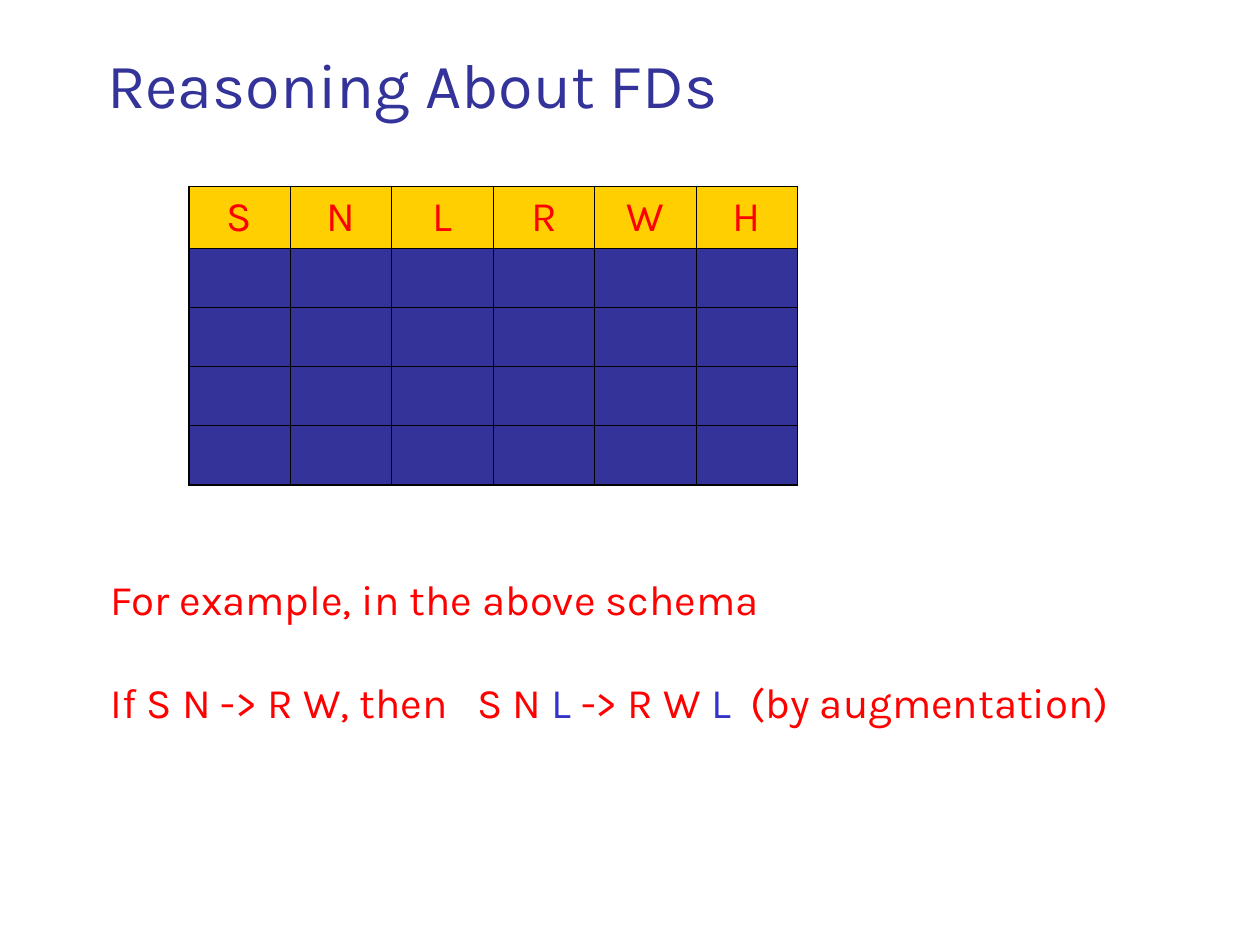
from lxml import etree
from pptx import Presentation
from pptx.dml.color import RGBColor
from pptx.enum.text import MSO_ANCHOR, MSO_AUTO_SIZE, PP_ALIGN
from pptx.oxml.ns import qn
from pptx.util import Inches, Pt

LEFT, CENTER = PP_ALIGN.LEFT, PP_ALIGN.CENTER
MIDDLE = MSO_ANCHOR.MIDDLE
NO_FIT, GROW = MSO_AUTO_SIZE.NONE, MSO_AUTO_SIZE.SHAPE_TO_FIT_TEXT
NAVY, BLUE, RED, GOLD = "333399", "3333CC", "FF0000", "FFCF01"
THIN, THICK = Pt(0.45), Pt(1.08)


def write(para, text, size=24, color=RED, align=LEFT, before=0):
    para.alignment = align
    para.space_before = Pt(before)
    run = para.add_run()
    run.text = text
    run.font.name = "Karla"
    run.font.size = Pt(size)
    run.font.color.rgb = RGBColor.from_string(color)


def edge(cell, side, width):
    """Draw one black border; call in the order L, R, T, B."""
    line = etree.SubElement(cell._tc.get_or_add_tcPr(), qn("a:ln" + side), w=str(width))
    fill = etree.SubElement(line, qn("a:solidFill"))
    etree.SubElement(fill, qn("a:srgbClr"), val="000000")


prs = Presentation()
prs.slide_width, prs.slide_height = Inches(10), Inches(7.5)
slide = prs.slides.add_slide(prs.slide_layouts[5])

# Title
title = slide.shapes.title
title.left, title.top = Inches(0.75), Inches(0.25)
title.width, title.height = Inches(8.5), Inches(0.83)
title.text_frame.auto_size = NO_FIT
title.text_frame.vertical_anchor = MIDDLE
write(title.text_frame.paragraphs[0], "Reasoning About FDs", size=36, color=NAVY)

# Schema table: one header row above four empty rows
heads = "SNLRWH"
rows, cols = 5, len(heads)
head_h, row_h = Inches(0.4), Inches(0.47)
frame = slide.shapes.add_table(rows, cols, Inches(1.5), Inches(1.48),
                               Inches(4.83), head_h + (rows - 1) * row_h)
table = frame.table
for r in range(rows):
    table.rows[r].height = row_h if r else head_h
    for c in range(cols):
        cell = table.cell(r, c)
        cell.margin_left = cell.margin_right = Inches(0.05)
        cell.margin_top = cell.margin_bottom = Inches(0.05)
        outer = {"L": c == 0, "R": c == cols - 1, "T": r == 0, "B": r == rows - 1}
        for side, rim in outer.items():
            edge(cell, side, THICK if rim else THIN)
        cell.fill.solid()
        cell.fill.fore_color.rgb = RGBColor.from_string(NAVY if r else GOLD)
        if r == 0:
            write(cell.text_frame.paragraphs[0], heads[c], align=CENTER, before=6)

# Worked example, with the added attribute in blue
box = slide.shapes.add_textbox(Inches(0.78), Inches(4.5), Inches(8.45), Inches(1.3))
body = box.text_frame
body.word_wrap = False
body.auto_size = GROW
write(body.paragraphs[0], "For example, in the above schema")
rule = body.add_paragraph()
for text, color in [("If S N -> R W, then   S N ", RED), ("L", BLUE),
                    (" -> R W ", RED), ("L", BLUE), ("  (by augmentation)", RED)]:
    write(rule, text, color=color, before=30)

prs.save("out.pptx")
